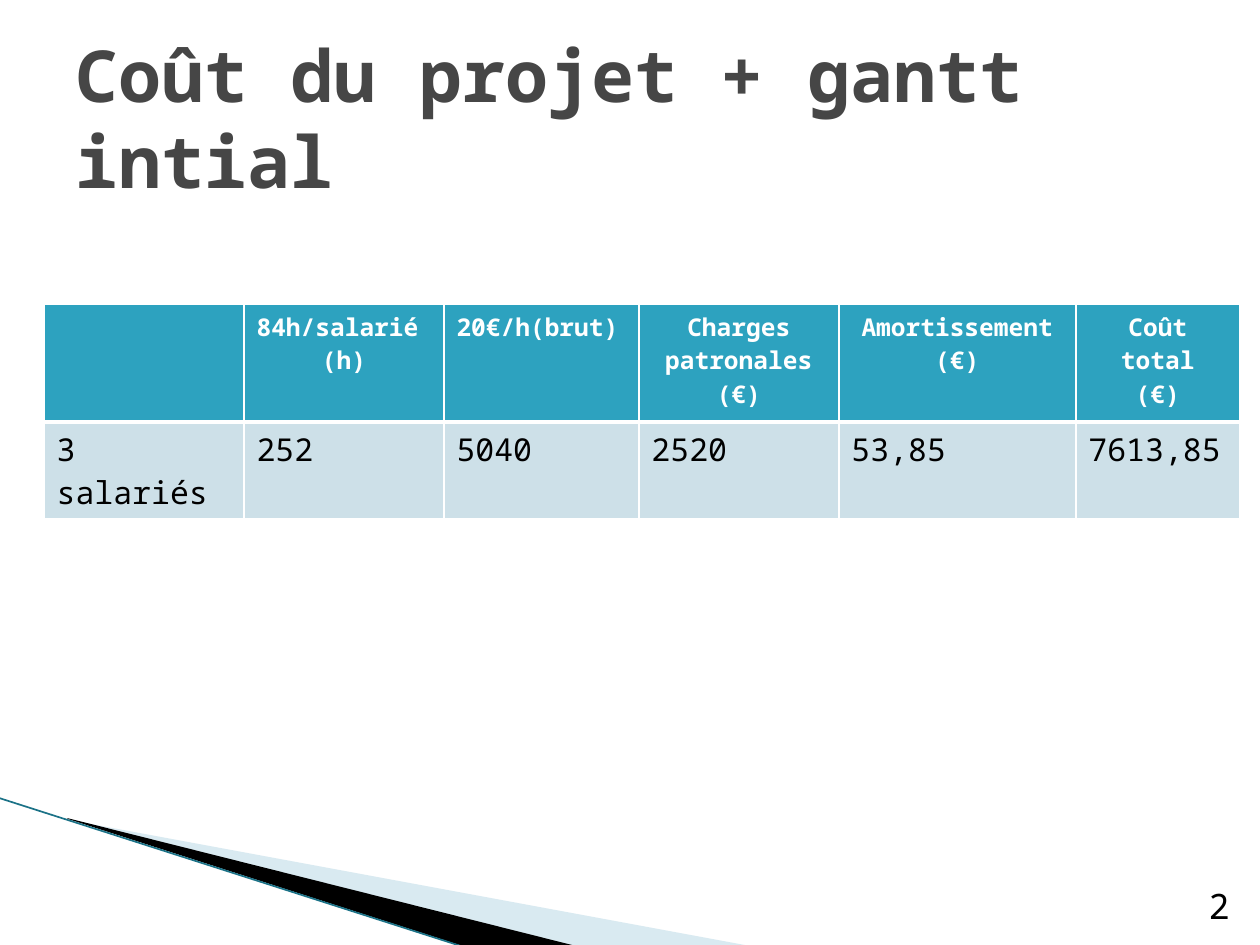
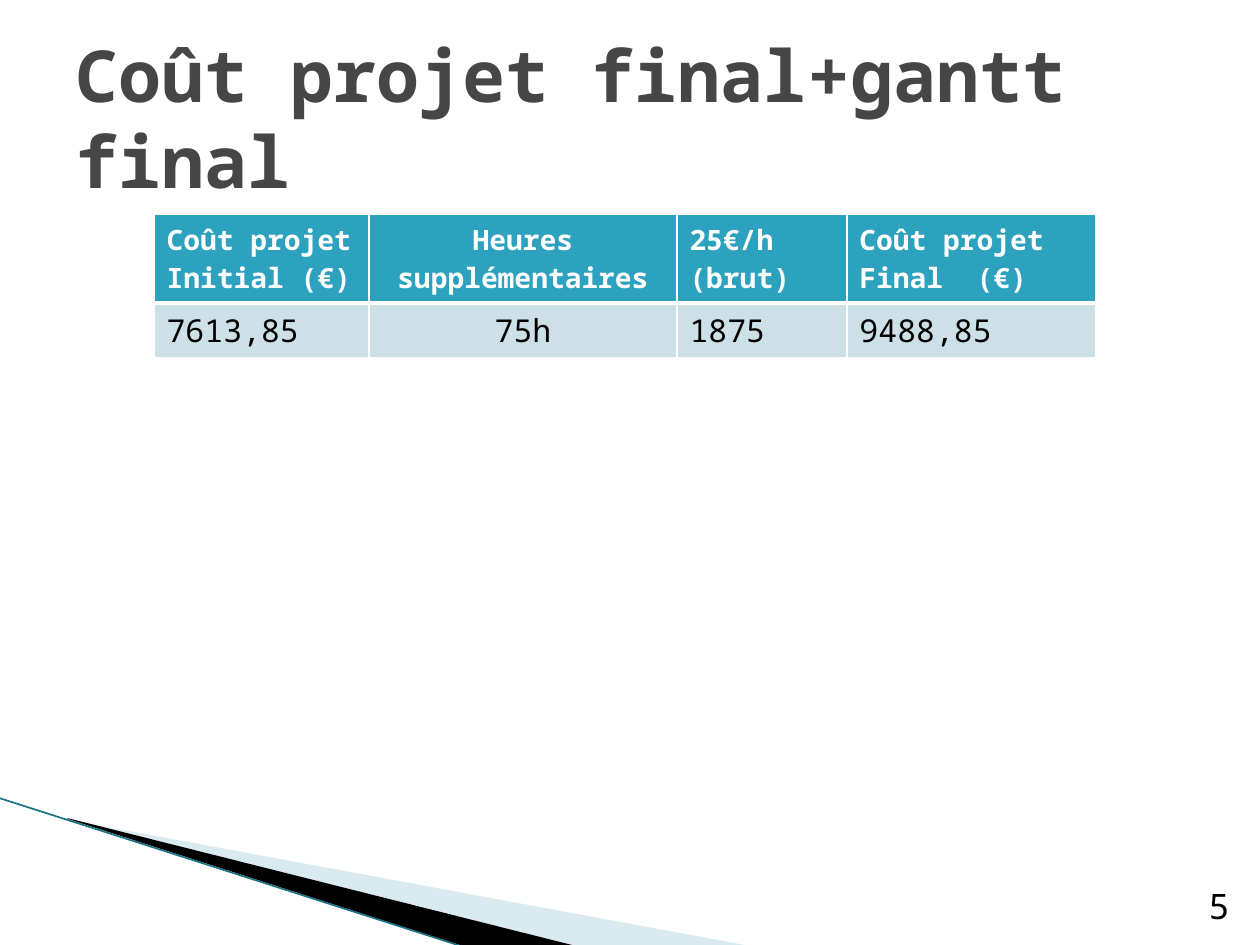
from lxml import etree
from pptx import Presentation
from pptx.dml.color import RGBColor
from pptx.enum.shapes import MSO_CONNECTOR
from pptx.enum.text import MSO_ANCHOR, PP_ALIGN
from pptx.oxml.ns import qn
from pptx.util import Pt

LEFT, CENTER, RIGHT = PP_ALIGN.LEFT, PP_ALIGN.CENTER, PP_ALIGN.RIGHT
MIDDLE, BOTTOM = MSO_ANCHOR.MIDDLE, MSO_ANCHOR.BOTTOM
STRAIGHT = MSO_CONNECTOR.STRAIGHT
SCALE = 914400 / 126
FONT = "Noto Sans Mono"
WHITE, BLACK, TITLE = "FFFFFF", "000000", "464646"
HEADER, BODY = "2DA2BF", "CDE0E8"
PALE, EDGE = "A0CBDC", "1B7287"


def px(n):
    """Turn pixels into EMU."""
    return round(n * SCALE)


def rgb(color):
    """Turn a hex string into a colour."""
    return RGBColor.from_string(color)


def write(tf, lines, size, color, bold=False, aligns=(LEFT,)):
    """Write one paragraph a line; the last alignment holds for the rest."""
    tf.word_wrap = True
    for i, line in enumerate(lines):
        p = tf.paragraphs[0] if i == 0 else tf.add_paragraph()
        p.alignment = aligns[min(i, len(aligns) - 1)]
        r = p.add_run()
        r.text = line
        r.font.name, r.font.size, r.font.bold = FONT, Pt(size), bold
        r.font.color.rgb = rgb(color)


def add_text(s, box, text, size, color, anchor, align=LEFT, bold=False):
    """Add a text box holding one paragraph."""
    tf = s.shapes.add_textbox(*map(px, box)).text_frame
    tf.vertical_anchor = anchor
    write(tf, [text], size, color, bold, (align,))


def add_wedge(s, points, color, alpha=None):
    """Add a filled outline, partly transparent if alpha is given."""
    builder = s.shapes.build_freeform(*points[0], scale=SCALE)
    builder.add_line_segments(points[1:], close=True)
    sp = builder.convert_to_shape()
    sp.shadow.inherit = False
    sp.fill.solid()
    sp.fill.fore_color.rgb = rgb(color)
    sp.line.fill.background()
    if alpha:
        clr = sp.fill._xPr.find(".//" + qn("a:srgbClr"))
        etree.SubElement(clr, qn("a:alpha"), val=str(alpha * 1000))


def add_corner(s, x, y):
    """Draw the wedges and their edge line in the bottom left corner."""
    pale = [(69, 22), (750, 148), (575, 148), (69, 21)]
    dark = [(67, 20), (576, 148), (469, 150), (68, 21)]
    for points, color, alpha in ((pale, PALE, 40), (dark, BLACK, None)):
        add_wedge(s, [(x + dx, y + dy) for dx, dy in points], color, alpha)
    line = s.shapes.add_connector(STRAIGHT, px(x - 1), px(y), px(x + 467), px(y + 150))
    line.line.color.rgb = rgb(EDGE)
    line.line.width = Pt(0.95)
    etree.SubElement(line._element.spPr, qn("a:effectLst"))


def style_cell(cell, fill, top, bottom):
    """Give a cell its white borders and its fill."""
    tcPr = cell._tc.get_or_add_tcPr()
    for side, width in (("L", 1), ("R", 1), ("T", top), ("B", bottom)):
        ln = etree.SubElement(tcPr, qn("a:ln" + side), w=str(Pt(width)))
        solid = etree.SubElement(ln, qn("a:solidFill"))
        etree.SubElement(solid, qn("a:srgbClr"), val=WHITE)
    cell.fill.solid()
    cell.fill.fore_color.rgb = rgb(fill)


def add_costs(s, x, y, heights, columns, head_size):
    """Add a cost table; a column is width, heading, its alignments, value, its alignment."""
    width = sum(column[0] for column in columns)
    frame = s.shapes.add_table(2, len(columns), px(x), px(y), px(width), px(sum(heights)))
    table = frame.table
    for row, height in zip(table.rows, heights):
        row.height = px(height)
    for i, (w, heading, aligns, value, align) in enumerate(columns):
        table.columns[i].width = px(w)
        head, body = table.cell(0, i), table.cell(1, i)
        style_cell(head, HEADER, 1, 3)
        style_cell(body, BODY, 3, 1)
        write(head.text_frame, heading, head_size, WHITE, True, aligns)
        write(body.text_frame, [value], 18, BLACK, False, (align,))


def add_slide(prs, title, number, **costs):
    """Add a slide with its corner, title, cost table and number."""
    s = prs.slides.add_slide(prs.slide_layouts[6])
    add_corner(s, 0, 798)
    add_text(s, (63, 38, 1134, 157), title, 41, TITLE, MIDDLE, bold=True)
    add_costs(s, **costs)
    add_text(s, (1192, 883, 50, 50), number, 20, BLACK, BOTTOM, RIGHT)


INITIAL = [
    (200, [], (LEFT,), "3 salariés", LEFT),
    (200, ["84h/salarié", "(h)"], (LEFT, CENTER), "252", LEFT),
    (195, ["20€/h(brut)"], (LEFT,), "5040", LEFT),
    (200, ["Charges patronales", "(€)"], (CENTER,), "2520", LEFT),
    (237, ["Amortissement", "(€)"], (CENTER,), "53,85", LEFT),
    (164, ["Coût total", "(€)"], (CENTER,), "7613,85", LEFT),
]
FINAL = [
    (215, ["Coût projet", "Initial (€)"], (LEFT,), "7613,85", LEFT),
    (308, ["Heures supplémentaires"], (CENTER,), "75h", CENTER),
    (170, ["25€/h", "(brut)"], (LEFT,), "1875", LEFT),
    (249, ["Coût projet", "Final  (€)"], (LEFT,), "9488,85", LEFT),
]

prs = Presentation()
prs.slide_width, prs.slide_height = px(1260), px(945)
add_slide(prs, "Coût du projet + gantt intial", "2",
          x=44, y=304, heights=(118, 97), columns=INITIAL, head_size=14)
add_slide(prs, "Coût projet final+gantt final", "5",
          x=154, y=214, heights=(89, 55), columns=FINAL, head_size=16)
prs.save("out.pptx")
